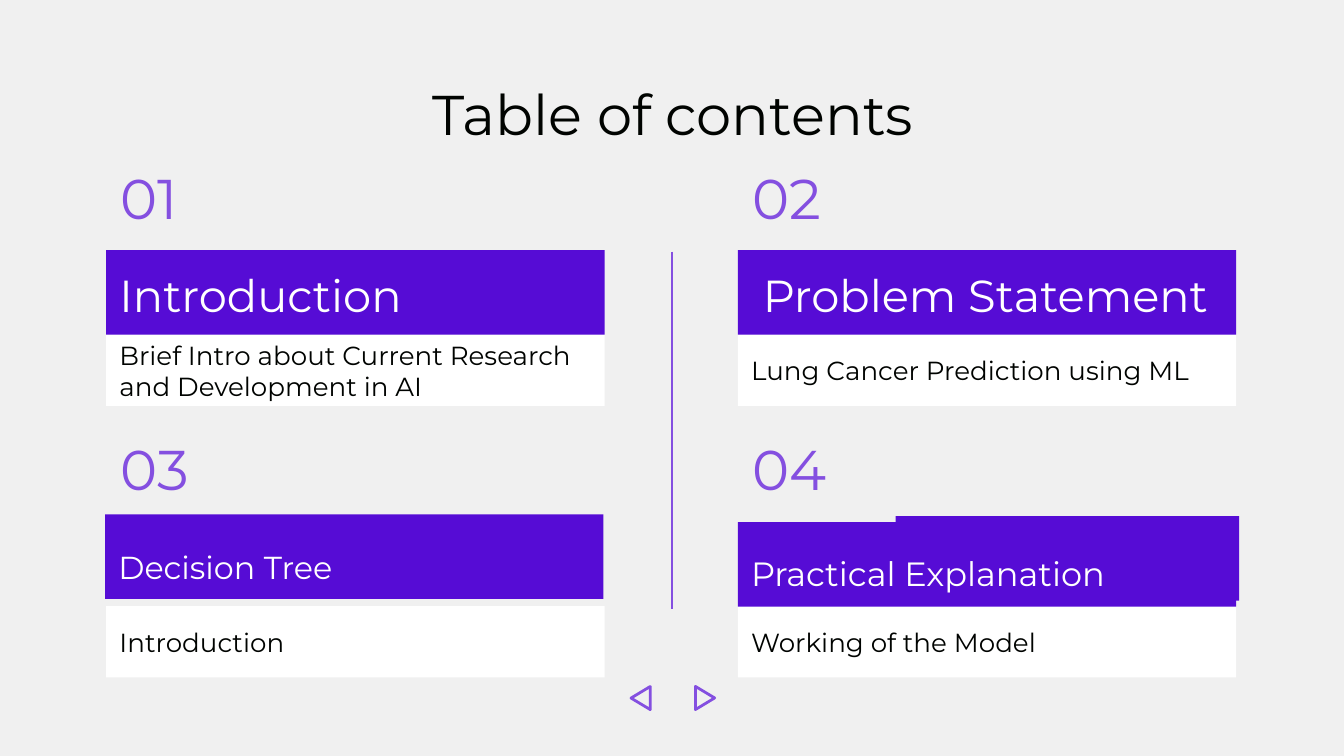
from lxml import etree
from pptx import Presentation
from pptx import util as u
from pptx.dml import color
from pptx.enum import shapes, text
from pptx.oxml import ns

INK, WHITE, VIOLET, LILAC, PAPER = "000300", "FFFFFF", "560CD5", "844FE0", "F0F0F0"
MIDDLE, BOTTOM = text.MSO_ANCHOR.MIDDLE, text.MSO_ANCHOR.BOTTOM
CARD_WIDTH, HEADING_HEIGHT, DETAIL_HEIGHT = 267, 45.3, 38.2


def rgb(value):
    return color.RGBColor.from_string(value)


class SlideBuilder:
    font = "Montserrat"
    inset = 7.2
    stroke = 1.5

    def __init__(self, slide):
        self.slide = slide

    def background(self, fill):
        self.slide.background.fill.solid()
        self.slide.background.fill.fore_color.rgb = rgb(fill)

    def set_text(self, box, words, size, ink, anchor, align):
        frame = box.text_frame
        margins = {f"margin_{side}": u.Pt(self.inset) for side in ("left", "top", "right", "bottom")}
        layout = {"word_wrap": True, "auto_size": text.MSO_AUTO_SIZE.NONE, "vertical_anchor": anchor}
        for name, value in {**margins, **layout}.items():
            setattr(frame, name, value)
        para = frame.paragraphs[0]
        para.alignment = align
        span = para.add_run()
        span.text = words
        for name, value in {"name": self.font, "size": u.Pt(size)}.items():
            setattr(span.font, name, value)
        span.font.color.rgb = rgb(ink)

    def label(self, area, words, size, ink, anchor=MIDDLE, align=text.PP_ALIGN.LEFT):
        box = self.slide.shapes.add_textbox(*map(u.Pt, area))
        self.set_text(box, words, size, ink, anchor, align)

    def panel(self, area, fill):
        box = self.slide.shapes.add_shape(shapes.MSO_SHAPE.RECTANGLE, *map(u.Pt, area))
        box.shadow.inherit = False
        box.fill.solid()
        box.fill.fore_color.rgb = rgb(fill)
        box.line.fill.background()
        return box

    def text_panel(self, area, fill, words, size, ink, anchor):
        self.set_text(self.panel(area, fill), words, size, ink, anchor, text.PP_ALIGN.LEFT)

    def outline(self, line, ink):
        line.color.rgb = rgb(ink)
        line.width = u.Pt(self.stroke)

    def divider(self, ends, ink):
        line = self.slide.shapes.add_connector(shapes.MSO_CONNECTOR.STRAIGHT, *map(u.Pt, ends))
        self.outline(line.line, ink)
        etree.SubElement(line.element.spPr, ns.qn("a:effectLst"))

    def triangle(self, area, rotation, ink):
        arrow = self.slide.shapes.add_shape(shapes.MSO_SHAPE.ISOSCELES_TRIANGLE, *map(u.Pt, area))
        arrow.shadow.inherit = False
        arrow.rotation = rotation
        arrow.fill.background()
        self.outline(arrow.line, ink)


def main():
    deck = Presentation()
    deck.slide_width, deck.slide_height = u.Pt(720), u.Pt(405)
    page = SlideBuilder(deck.slides.add_slide(deck.slide_layouts[6]))
    page.background(PAPER)
    page.label((57, 35.3, 607, 45.3), "Table of contents", 30, INK,
               text.MSO_ANCHOR.TOP, text.PP_ALIGN.CENTER)
    page.panel((479.8, 276.5, 184, HEADING_HEIGHT), VIOLET)

    columns = (56.9, 395.3)
    number_tops, detail_tops = (82.1, 227.5), (179.3, 324.7)
    cards = [
        ("Introduction", 24, 56.9, 134,
         "Brief Intro about Current Research and Development in AI"),
        (" Problem Statement", 24, 395.3, 134, "Lung Cancer Prediction using ML"),
        ("Decision Tree", 17, 56.3, 275.6, "Introduction"),
        ("Practical Explanation", 18, 395.3, 279.8, "Working of the Model"),
    ]
    for index, (heading, size, left, top, detail) in enumerate(cards):
        row, column = divmod(index, 2)
        x = columns[column]
        page.label((x + 0.7, number_tops[row], CARD_WIDTH, 46.8), f"{index + 1:02}", 30, LILAC)
        page.text_panel((x, detail_tops[row], CARD_WIDTH, DETAIL_HEIGHT), WHITE,
                        detail, 14, INK, MIDDLE)
        page.text_panel((left, top, CARD_WIDTH, HEADING_HEIGHT), VIOLET,
                        heading, size, WHITE, BOTTOM)

    page.divider((360, 134.8, 360, 326.2), LILAC)
    for left, rotation in ((337, 270), (371.5, 90)):
        page.triangle((left, 368.8, 12.4, 10.3), rotation, LILAC)
    deck.save("out.pptx")


if __name__ == "__main__":
    main()
